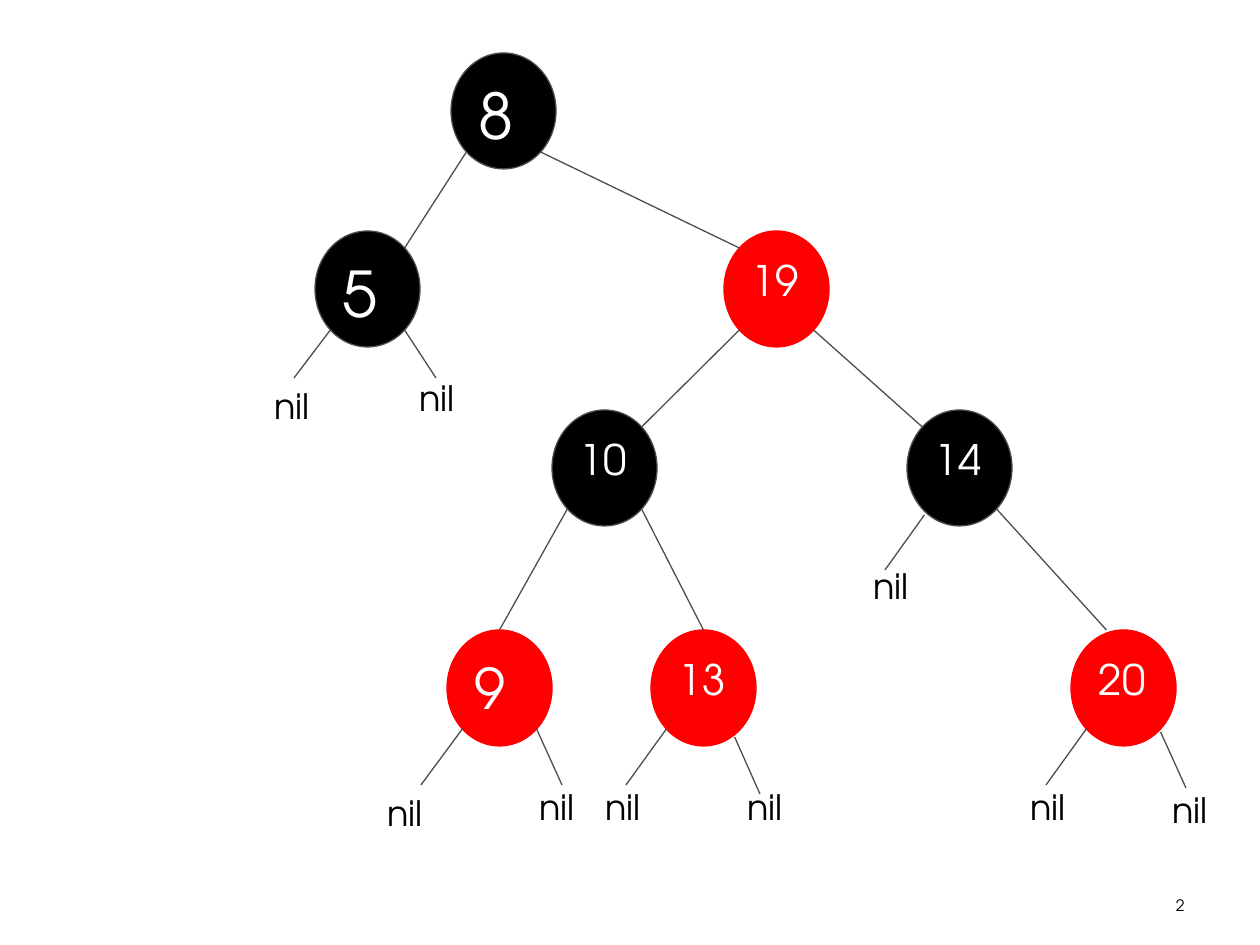
"""Build a slide with a red-black tree and its nil leaves."""
from math import sqrt

from lxml import etree
from pptx import Presentation, util as u
from pptx.dml.color import RGBColor
from pptx.enum import shapes, text
from pptx.oxml.ns import qn

FONT = "TeX Gyre Adventor"
BLACK = RGBColor(0, 0, 0)
RED = RGBColor(255, 0, 0)
GREY = RGBColor(77, 77, 77)
WHITE = RGBColor(255, 255, 255)

SCALE = 914400 / 126
WIDE, HIGH = 105, 116
LEFT, RIGHT = -1, 1

# label: (left, top, fill, text size)
NODES = {
    "8": (451, 53, BLACK, 36),
    "5": (315, 231, BLACK, 36),
    "14": (907, 410, BLACK, 24),
    "10": (552, 410, BLACK, 24),
    "19": (724, 231, RED, 24),
    "20": (1071, 630, RED, 24),
    "13": (651, 630, RED, 24),
    "9": (447, 630, RED, 32),
}
# parent, side, child, shift from the child's top (None: its near corner)
EDGES = [
    ("8", LEFT, "5", None),
    ("8", RIGHT, "19", None),
    ("19", LEFT, "10", None),
    ("19", RIGHT, "14", None),
    ("10", LEFT, "9", 0),
    ("10", RIGHT, "13", 0),
    ("14", RIGHT, "20", -17),
]
# parent, side, shift from the parent's corner, line end, label corner
LEAVES = [
    ("5", LEFT, (0, 0), (294, 378), (262, 378)),
    ("5", RIGHT, (0, 0), (436, 378), (407, 370)),
    ("9", LEFT, (0, 0), (421, 785), (375, 785)),
    ("9", RIGHT, (0, 0), (562, 785), (527, 779)),
    ("13", LEFT, (0, 0), (626, 785), (593, 779)),
    ("13", RIGHT, (-6, 8), (760, 794), (735, 779)),
    ("14", LEFT, (2, 6), (885, 570), (861, 558)),
    ("20", LEFT, (0, 0), (1046, 785), (1018, 779)),
    ("20", RIGHT, (0, 3), (1186, 788), (1160, 782)),
]


def px(*nums):
    return [u.Emu(round(n * SCALE)) for n in nums]


def write(shape, words, size, color, align=text.PP_ALIGN.LEFT):
    frame = shape.text_frame
    frame.word_wrap = True
    frame.vertical_anchor = text.MSO_ANCHOR.TOP
    frame.text = words
    para = frame.paragraphs[0]
    para.alignment = align
    font = para.runs[0].font
    font.name, font.size = FONT, u.Pt(size)
    font.color.rgb = color


def corner(name, side, down):
    left, top = NODES[name][:2]
    return (left + WIDE / 2 * (1 + side / sqrt(2)),
            top + HIGH / 2 * (1 + down / sqrt(2)))


def node(slide, name):
    left, top, fill, size = NODES[name]
    oval = slide.shapes.add_shape(
        shapes.MSO_SHAPE.OVAL, *px(left, top, WIDE, HIGH))
    oval.shadow.inherit = False
    oval.fill.solid()
    oval.fill.fore_color.rgb = fill
    oval.line.color.rgb = GREY if fill == BLACK else RED
    oval.line.width = u.Pt(0.75)
    write(oval, name, size, WHITE)


def link(slide, start, end):
    line = slide.shapes.add_connector(
        shapes.MSO_CONNECTOR.STRAIGHT, *px(*start, *end))
    line.line.color.rgb = GREY
    line.line.width = u.Pt(0.75)
    etree.SubElement(line._element.spPr, qn("a:effectLst"))


def main():
    deck = Presentation()
    deck.slide_width, deck.slide_height = px(1260, 945)
    slide = deck.slides.add_slide(deck.slide_layouts[6])
    page = slide.shapes.add_textbox(*px(903, 890, 294, 37))
    write(page, "2", 9, BLACK, text.PP_ALIGN.RIGHT)
    for name in NODES:
        node(slide, name)
    for name, side, child, shift in EDGES:
        if shift is None:
            end = corner(child, -side, -1)
        else:
            left, top = NODES[child][:2]
            end = left + WIDE / 2 + shift, top
        link(slide, corner(name, side, 1), end)
    for name, side, shift, end, spot in LEAVES:
        start = [a + b for a, b in zip(corner(name, side, 1), shift)]
        link(slide, start, end)
        write(slide.shapes.add_textbox(*px(*spot, 105, 55)), "nil", 20, BLACK)
    deck.save("out.pptx")


if __name__ == "__main__":
    main()
